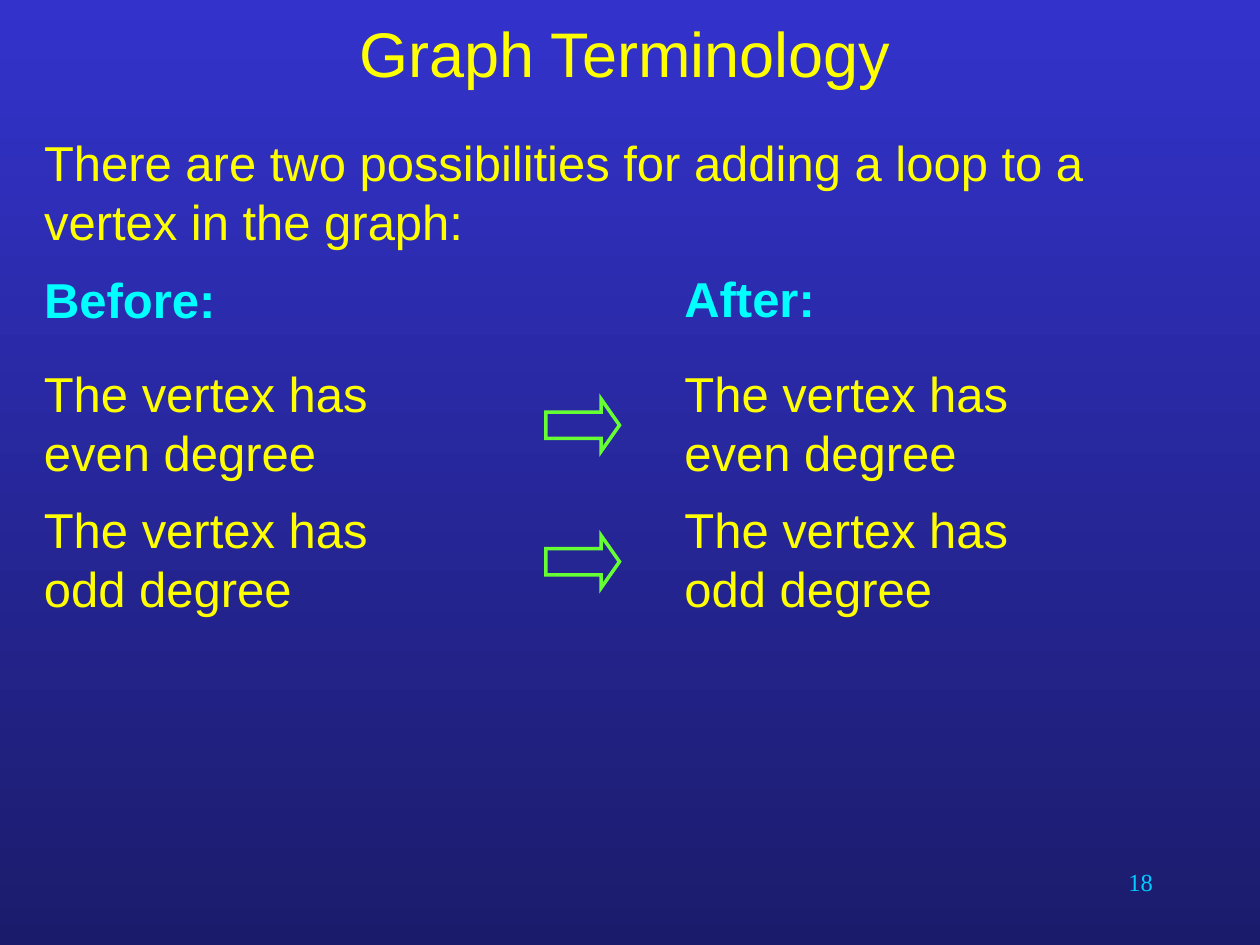
from lxml import etree
from pptx import Presentation
from pptx import util as u
from pptx.dml.color import RGBColor
from pptx.enum import shapes, text
from pptx.oxml import ns

YELLOW = RGBColor(0xFF, 0xFF, 0x00)
CYAN = RGBColor(0x00, 0xFF, 0xFF)
SKY = RGBColor(0x00, 0xCC, 0xFF)
GREEN = RGBColor(0x66, 0xFF, 0x33)
BG_TOP = RGBColor(0x33, 0x33, 0xCC)
BG_BOTTOM = RGBColor(0x1B, 0x1B, 0x6C)

# Grid of 1/12 inch: 120 columns by 90 rows
CELL = u.Inches(1) // 12
COLS, ROWS = 120, 90
LEFT, RIGHT = 3, 64


def write(p, words, size=28, font="Arial", color=YELLOW, bold=False,
          align=text.PP_ALIGN.LEFT, gap=0.2):
    """Fill a paragraph; \\v marks a line break, gap is a share of the size."""
    p.text = words
    p.alignment = align
    p.line_spacing = 1.0
    p.space_before = p.space_after = u.Pt(size * gap)
    for r in p.runs:
        r.font.size = u.Pt(size)
        r.font.name = font
        r.font.bold = bold
        r.font.color.rgb = color


class Deck:
    HEAD = dict(color=CYAN, bold=True)

    def __init__(self):
        self.prs = Presentation()
        self.prs.slide_width = COLS * CELL
        self.prs.slide_height = ROWS * CELL
        self.slide = self.prs.slides.add_slide(self.prs.slide_layouts[1])

    def place(self, sp, col, row, cols, rows):
        sp.left, sp.top, sp.width, sp.height = (
            u.Emu(n * CELL) for n in (col, row, cols, rows))

    def frame(self, sp, anchor=text.MSO_ANCHOR.TOP):
        tf = sp.text_frame
        tf.word_wrap = True
        tf.auto_size = text.MSO_AUTO_SIZE.NONE
        tf.vertical_anchor = anchor
        return tf

    def background(self, top, bottom):
        fill = self.slide.background.fill
        fill.gradient()
        fill.gradient_angle = 270
        for stop, color, at in zip(fill.gradient_stops, (top, bottom), (0, 1)):
            stop.color.rgb = color
            stop.position = at

    def title(self, words, *box):
        sp = self.slide.shapes.title
        self.place(sp, *box)
        tf = self.frame(sp, text.MSO_ANCHOR.MIDDLE)
        write(tf.paragraphs[0], words, size=36, align=text.PP_ALIGN.CENTER, gap=0)

    def body(self, intro, head, *box):
        sp = self.slide.placeholders[1]
        self.place(sp, *box)
        tf = self.frame(sp)
        write(tf.paragraphs[0], intro)
        write(tf.add_paragraph(), head, **self.HEAD)
        # Plain paragraphs: no bullet, no hanging indent
        for p in tf.paragraphs:
            pPr = p._p.get_or_add_pPr()
            pPr.set("marL", "0")
            pPr.set("indent", "0")
            etree.SubElement(pPr, ns.qn("a:buNone"))

    def label(self, words, *box, **fmt):
        sp = self.slide.shapes.add_textbox(0, 0, 0, 0)
        self.place(sp, *box)
        write(self.frame(sp).paragraphs[0], words, **fmt)

    def arrow(self, *box):
        sp = self.slide.shapes.add_shape(
            shapes.MSO_SHAPE.RIGHT_ARROW, 0, 0, CELL, CELL)
        self.place(sp, *box)
        sp.adjustments[0], sp.adjustments[1] = 0.5, 0.35
        sp.shadow.inherit = False
        sp.fill.background()
        sp.line.color.rgb = GREEN
        sp.line.width = u.Pt(2)
        # Sharp corners
        etree.SubElement(sp.line._get_or_add_ln(), ns.qn("a:miter"), lim="800000")


def main():
    deck = Deck()
    deck.background(BG_TOP, BG_BOTTOM)

    # Heading, introduction and column heads
    deck.title("Graph Terminology", LEFT, 0, 113, 10)
    deck.body("There are two possibilities for adding a loop to a vertex in the graph:",
              "Before:", LEFT, 12, 115, 21)
    deck.label("After:", RIGHT, 25, 54, 8, **deck.HEAD)

    # One row per case: before, arrow, after
    for i, parity in enumerate(("even", "odd")):
        row = 34 + 13 * i
        for col in (LEFT, RIGHT):
            deck.label(f"The vertex has\v{parity} degree", col, row, 56, 13)
        deck.arrow(52, row + 4, 7, 5)

    # Slide number
    deck.label("18", 86, 82, 25, 6, size=14, font="Times New Roman",
               color=SKY, align=text.PP_ALIGN.RIGHT, gap=0)

    deck.prs.save("out.pptx")


if __name__ == "__main__":
    main()
